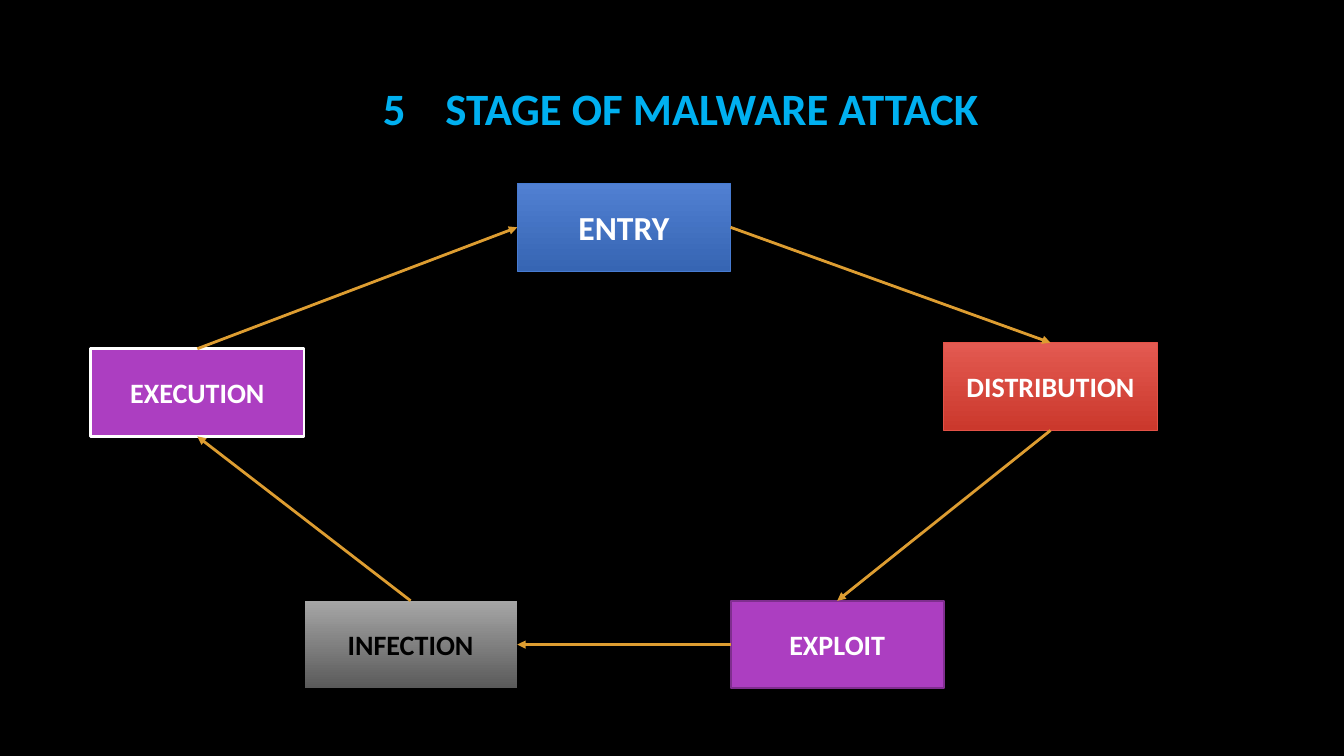
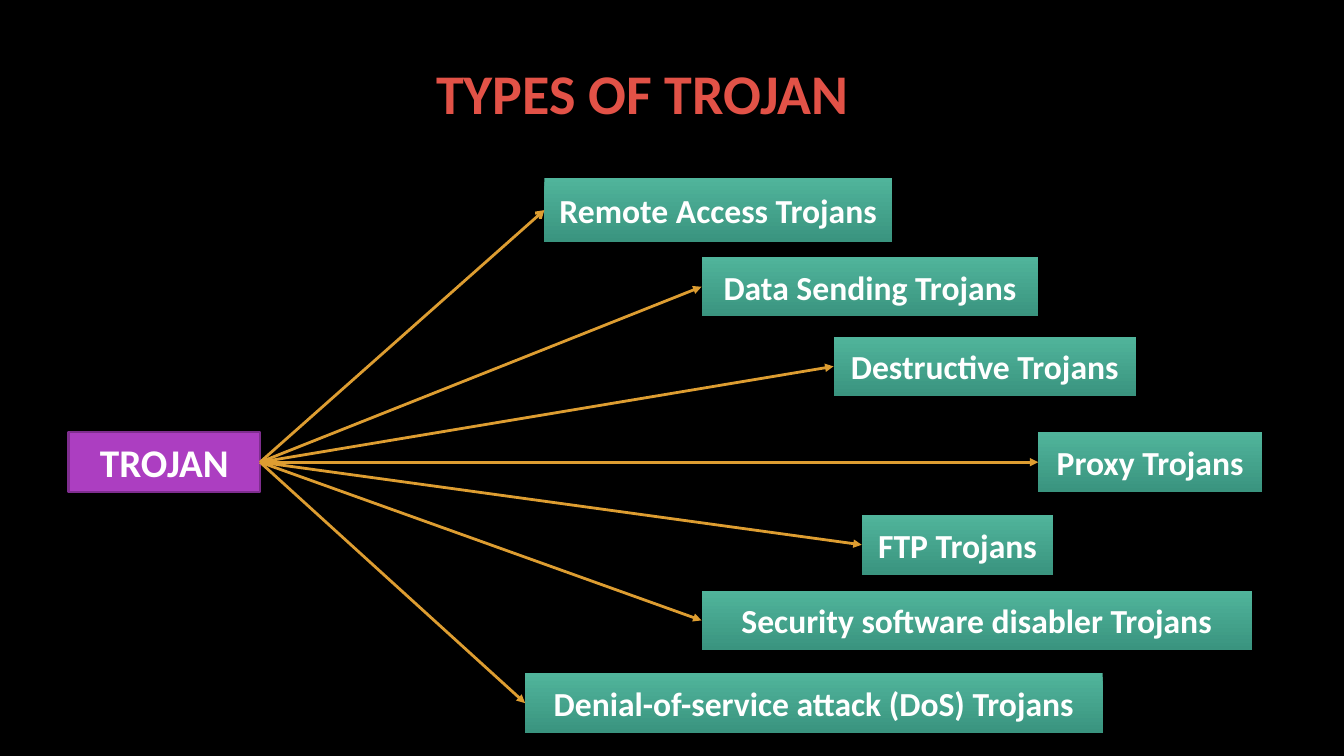
"""Build two diagram slides: the malware attack cycle and the types of trojan."""
from lxml.etree import SubElement
from pptx import Presentation
from pptx.dml.color import RGBColor
from pptx.enum.shapes import MSO_CONNECTOR as Connector, MSO_SHAPE as Shape
from pptx.enum.text import MSO_ANCHOR as Anchor, PP_ALIGN as Align
from pptx.oxml.ns import qn
from pptx.util import Inches, Pt

hex_color = RGBColor.from_string
WHITE, BLACK, GOLD, RED = "FFFFFF", "000000", "DD9D31", "E25247"
PURPLE, DARK_PURPLE = "AC3EC1", "7F2E8F"
GREEN_BLEND = ("50B49B", "3A947F")
TOP, LEFT, BOTTOM, RIGHT = range(4)

presentation = Presentation()
presentation.slide_width, presentation.slide_height = Inches(13.333), Inches(7.5)
column, row = presentation.slide_width / 100, presentation.slide_height / 100


def add_label(slide, text, place, size, color=WHITE, fills=(), line=None, line_width=0.75):
    left, top, width, height = place
    frame = [round(value) for value in (left * column, top * row, width * column, height * row)]
    if fills:
        shape = slide.shapes.add_shape(Shape.RECTANGLE, *frame)
        shape.shadow.inherit = False
        if len(fills) == 1:
            shape.fill.solid()
            shape.fill.fore_color.rgb = hex_color(fills[0])
        else:
            shape.fill.gradient()
            shape.fill.gradient_angle = 270
            for stop, fill in zip(shape.fill.gradient_stops, fills):
                stop.color.rgb = hex_color(fill)
        if line:
            shape.line.color.rgb = hex_color(line)
            shape.line.width = Pt(line_width)
        else:
            shape.line.fill.background()
    else:
        shape = slide.shapes.add_textbox(*frame)
    text_frame = shape.text_frame
    text_frame.word_wrap = True
    text_frame.vertical_anchor = Anchor.MIDDLE
    paragraph = text_frame.paragraphs[0]
    paragraph.alignment = Align.CENTER
    run = paragraph.add_run()
    run.text = text
    for name, value in {"name": "Calibri", "size": Pt(size), "bold": True}.items():
        setattr(run.font, name, value)
    run.font.color.rgb = hex_color(color)
    return shape


def add_arrow(slide, start, start_side, end, end_side, head="triangle"):
    arrow = slide.shapes.add_connector(Connector.STRAIGHT, 0, 0, 0, 0)
    arrow.begin_connect(start, start_side)
    arrow.end_connect(end, end_side)
    arrow.line.color.rgb = hex_color(GOLD)
    arrow.line.width = Pt(2)
    SubElement(arrow.line._get_or_add_ln(), qn("a:tailEnd"), type=head)
    SubElement(arrow._element.spPr, qn("a:effectLst"))


slides = []
for _ in range(2):
    slide = presentation.slides.add_slide(presentation.slide_layouts[6])
    slide.background.fill.solid()
    slide.background.fill.fore_color.rgb = hex_color(BLACK)
    slides.append(slide)
cycle_slide, types_slide = slides

title = add_label(cycle_slide, "5\tSTAGE OF MALWARE ATTACK", (27.75, 10, 47.1, 8.53), 32, "00B0F0")
title_paragraph = title.text_frame.paragraphs[0]
title_paragraph.alignment = Align.LEFT
tab_list = SubElement(title_paragraph._p.get_or_add_pPr(), qn("a:tabLst"))
SubElement(tab_list, qn("a:tab"), pos=str(Inches(0.62)), algn="l")

margin, stage_width, stage_height = 6.75, 15.87, 11.6
stages = [
    ("ENTRY", 2, 24.27, 24, WHITE, ("5180D2", "3665B3"), "477BD1", 0.75),
    ("DISTRIBUTION", 4, 45.33, 20, WHITE, ("E35A51", "CB382C"), RED, 0.75),
    ("EXPLOIT", 3, 79.47, 20, WHITE, (PURPLE,), DARK_PURPLE, 1.5),
    ("INFECTION", 1, 79.47, 20, BLACK, ("A6A6A6", "5A5A5A"), BLACK, 0.75),
    ("EXECUTION", 0, 46.13, 20, WHITE, (PURPLE,), WHITE, 2),
]
stage_boxes = [
    add_label(cycle_slide, text, (margin + position * stage_width, top, stage_width, stage_height), *style)
    for text, position, top, *style in stages
]
sides = [(RIGHT, TOP), (BOTTOM, TOP), (LEFT, RIGHT), (TOP, BOTTOM), (TOP, LEFT)]
for index, (start_side, end_side) in enumerate(sides):
    following = stage_boxes[(index + 1) % len(stage_boxes)]
    add_arrow(cycle_slide, stage_boxes[index], start_side, following, end_side)

add_label(types_slide, "TYPES OF TROJAN", (31.57, 7.07, 32.48, 10.27), 40, RED)
type_height = 7.87
trojan = add_label(types_slide, "TROJAN", (5.1, 57.2, 14.25, type_height), 28, WHITE,
                   (PURPLE,), DARK_PURPLE, 1.5)
trojan_types = [
    ("Remote Access Trojans", (40.5, 23.6, 25.88, 8.4), "arrow"),
    ("Data Sending Trojans", (52.2, 34, 25.05, type_height), "triangle"),
    ("Destructive Trojans", (62.02, 44.53, 22.5, type_height), "triangle"),
    ("Proxy Trojans", (77.25, 57.2, 16.65, type_height), "triangle"),
    ("FTP Trojans", (64.12, 68.13, 14.25, type_height), "triangle"),
    ("Security software disabler Trojans", (52.2, 78.13, 40.95, type_height), "triangle"),
    ("Denial-of-service attack (DoS) Trojans", (39.07, 89.07, 42.97, type_height), "triangle"),
]
for text, place, head in trojan_types:
    type_box = add_label(types_slide, text, place, 24, WHITE, GREEN_BLEND)
    add_arrow(types_slide, trojan, RIGHT, type_box, LEFT, head)

presentation.save("out.pptx")
